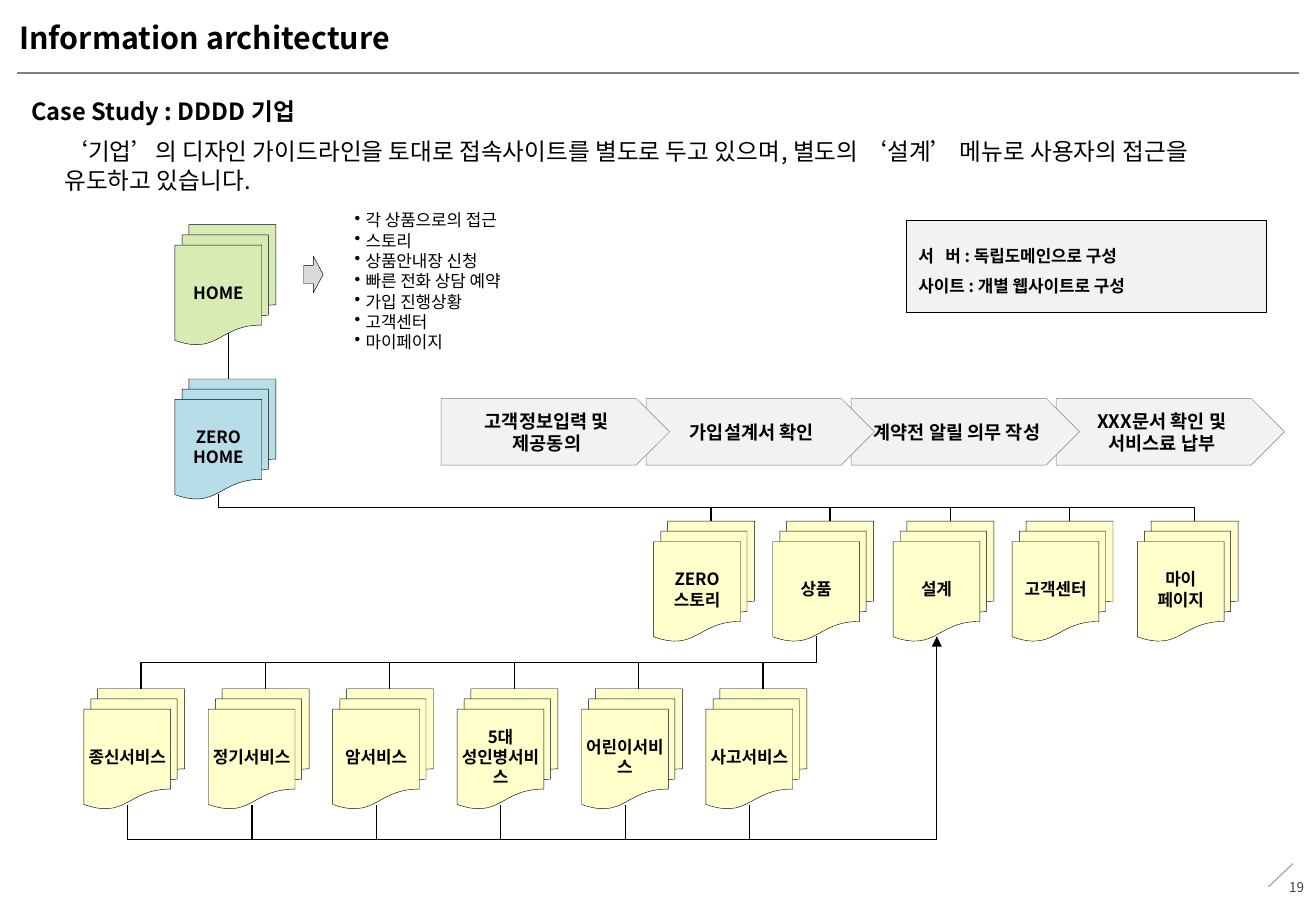
from dataclasses import dataclass

from lxml.etree import SubElement
from pptx import Presentation
from pptx.dml.color import RGBColor
from pptx.enum.shapes import MSO_CONNECTOR, MSO_SHAPE
from pptx.enum.text import MSO_ANCHOR, MSO_AUTO_SIZE, PP_ALIGN
from pptx.oxml.ns import qn
from pptx.util import Inches, Pt


@dataclass(frozen=True)
class Theme:
    font: str = "Noto Sans CJK KR"
    black: str = "000000"
    dark: str = "404040"
    gray: str = "808080"
    slash: str = "A6A6A6"
    arrow: str = "D9D9D9"
    panel: str = "F2F2F2"
    green: str = "D8EBB3"
    blue: str = "B7DEE8"
    yellow: str = "FFFFCC"
    title: int = 18
    body: int = 14
    step: int = 11
    label: int = 10
    number: int = 8
    thin: float = 0.25
    rule: float = 0.75


class SlideBuilder:
    def __init__(self, slide, theme):
        self.s = slide
        self.t = theme

    def add_lines(self, sp, lines, size, bold=False, color=None, align=PP_ALIGN.LEFT,
                  anchor=MSO_ANCHOR.TOP, insets=(0.1, 0.05, 0.1, 0.05), wrap=True,
                  bullet=False, spacing=None):
        """Fill a shape; a line is a string or a list of (text, tracking) runs."""
        tf = sp.text_frame
        tf.word_wrap = wrap
        tf.vertical_anchor = anchor
        tf.margin_left, tf.margin_top, tf.margin_right, tf.margin_bottom = map(Inches, insets)
        for i, line in enumerate(lines):
            p = tf.add_paragraph() if i else tf.paragraphs[0]
            p.alignment = align
            if spacing:
                p.line_spacing = spacing
            if bullet:
                pPr = p._p.get_or_add_pPr()
                pPr.set("marL", str(Inches(0.09)))
                pPr.set("indent", str(-Inches(0.09)))
                SubElement(pPr, qn("a:buChar")).set("char", "•")
            for text, tracking in [(line, 0)] if isinstance(line, str) else line:
                r = p.add_run()
                r.text = text
                r.font.size = Pt(size)
                r.font.bold = bold
                r.font.name = self.t.font
                r.font.color.rgb = RGBColor.from_string(color or self.t.black)
                rPr = r._r.get_or_add_rPr()
                SubElement(rPr, qn("a:ea")).set("typeface", self.t.font)
                if tracking:
                    rPr.set("spc", str(tracking))

    def text(self, x, y, w, h, lines, size, grow=True, **style):
        sp = self.s.shapes.add_textbox(*map(Inches, (x, y, w, h)))
        self.add_lines(sp, lines, size, **style)
        if grow:
            sp.text_frame.auto_size = MSO_AUTO_SIZE.SHAPE_TO_FIT_TEXT

    def shape(self, kind, x, y, w, h, fill, line=None):
        sp = self.s.shapes.add_shape(kind, *map(Inches, (x, y, w, h)))
        sp.shadow.inherit = False
        sp.fill.solid()
        sp.fill.fore_color.rgb = RGBColor.from_string(fill)
        sp.line.color.rgb = RGBColor.from_string(line or self.t.black)
        sp.line.width = Pt(self.t.thin)
        return sp

    def pages(self, x, y, lines, fill):
        sp = self.shape(MSO_SHAPE.FLOWCHART_MULTIDOCUMENT, x, y, 0.83, 0.99, fill)
        self.add_lines(sp, lines, self.t.label, bold=True, align=PP_ALIGN.CENTER,
                       anchor=MSO_ANCHOR.MIDDLE, insets=(0, 0, 0, 0))

    def line(self, x1, y1, x2, y2, color=None, kind=MSO_CONNECTOR.STRAIGHT):
        c = self.s.shapes.add_connector(kind, *map(Inches, (x1, y1, x2, y2)))
        c.line.color.rgb = RGBColor.from_string(color or self.t.black)
        c.line.width = Pt(self.t.rule)
        SubElement(c._element.spPr, qn("a:effectLst"))
        return c

    def elbow(self, x1, y1, x2, y2, bend=0.5, arrow=False):
        """Vertical-horizontal-vertical connector: a turned elbow around its middle."""
        mx, my, dx, dy = (x1 + x2) / 2, (y1 + y2) / 2, abs(x2 - x1), y2 - y1
        c = self.line(mx - dy / 2, my - dx / 2, mx + dy / 2, my + dx / 2,
                      kind=MSO_CONNECTOR.ELBOW)
        spPr = c._element.spPr
        xfrm = spPr.find(qn("a:xfrm"))
        xfrm.set("rot", str((90 if x2 < x1 else 270) * 60000))
        if x2 > x1:
            xfrm.set("flipH", "1")
        guide = SubElement(spPr.find(qn("a:prstGeom")).find(qn("a:avLst")), qn("a:gd"))
        guide.set("name", "adj1")
        guide.set("fmla", f"val {round(bend * 100000)}")
        if arrow:
            SubElement(spPr.find(qn("a:ln")), qn("a:headEnd")).set("type", "triangle")


def main():
    prs = Presentation()
    prs.slide_width, prs.slide_height = Inches(10.83), Inches(7.5)
    t = Theme()
    b = SlideBuilder(prs.slides.add_slide(prs.slide_layouts[6]), t)

    # Header rule and page number
    b.line(0.14, 0.6, 10.69, 0.6, t.gray)
    b.line(10.64, 7.11, 10.44, 7.3, t.slash)
    b.text(10.22, 7.1, 0.61, 0.4, ["19"], t.number, grow=False, color=t.dark,
           align=PP_ALIGN.RIGHT, anchor=MSO_ANCHOR.MIDDLE)

    # Headings
    b.text(0.16, 0.1, 8.09, 0.42, ["Information architecture"], t.title, bold=True,
           insets=(0, 0.06, 0, 0.06))
    b.text(0.16, 0.75, 10.54, 0.34, ["Case Study : DDDD 기업"], t.body, bold=True)
    b.text(0.53, 1.08, 9.76, 0.57,
           ["‘기업’의 디자인 가이드라인을 토대로 접속사이트를 별도로 두고 있으며, "
            "별도의 ‘설계’ 메뉴로 사용자의 접근을 유도하고 있습니다."],
           t.body, insets=(0, 0.05, 0.1, 0.05))

    # Home pages and the list of home contents
    b.line(1.88, 2.51, 1.88, 3.34)
    b.pages(1.44, 1.85, ["HOME"], t.green)
    b.pages(1.44, 3.12, ["ZERO", "HOME"], t.blue)
    b.shape(MSO_SHAPE.RIGHT_ARROW, 2.5, 2.11, 0.16, 0.3, t.arrow)
    b.text(2.82, 1.68, 1.46, 1.28,
           ["각 상품으로의 접근", "스토리", "상품안내장 신청", "빠른 전화 상담 예약",
            "가입 진행상황", "고객센터", "마이페이지"],
           t.label, wrap=False, bullet=True)

    # Menu pages under ZERO HOME
    top_in, bottom_out = 0.47, 0.36  # connection points across a page stack
    menus = [(5.38, ["ZERO", "스토리"]), (6.36, ["상품"]), (7.35, ["설계"]),
             (8.33, ["고객센터"]), (9.36, ["마이", "페이지"])]
    for x, lines in menus:
        b.pages(x, 4.29, lines, t.yellow)
        b.elbow(1.44 + bottom_out, 4.07, x + top_in, 4.29)

    # Service pages: fed by the product menu, leading to the design menu
    services = [["종신서비스"], ["정기서비스"], ["암서비스"], ["5대", "성인병서비스"],
                ["어린이서비스"], ["사고서비스"]]
    product_x, design_x = menus[1][0], menus[2][0]
    for i, lines in enumerate(services):
        x = 0.69 + i * 1.024
        b.pages(x, 5.67, lines, t.yellow)
        b.elbow(product_x + bottom_out, 5.24, x + top_in, 5.67)
        b.elbow(design_x + bottom_out, 5.24, x + bottom_out, 6.63, bend=1.2,
                arrow=i == len(services) - 1)

    # Process steps, each overlapping the next
    steps = [["고객정보입력 및", "제공동의"], ["가입설계서 확인"],
             ["계약전 알릴 의무 작성"], ["XXX문서 확인 및", "서비스료 납부"]]
    for i, lines in reversed(list(enumerate(steps))):
        sp = b.shape(MSO_SHAPE.PENTAGON, 3.63 + i * 1.687, 3.28, 1.88, 0.55, t.panel, t.gray)
        b.add_lines(sp, lines, t.step, bold=True, align=PP_ALIGN.CENTER,
                    anchor=MSO_ANCHOR.MIDDLE)

    # Server and site note
    sp = b.shape(MSO_SHAPE.RECTANGLE, 7.46, 1.81, 2.96, 0.76, t.panel)
    b.add_lines(sp, [[("서", 0), (" ", 450), ("버 : 독립도메인으로 구성", 0)],
                     "사이트 : 개별 웹사이트로 구성"],
                t.label, bold=True, anchor=MSO_ANCHOR.MIDDLE, spacing=1.5)

    prs.save("out.pptx")


if __name__ == "__main__":
    main()
